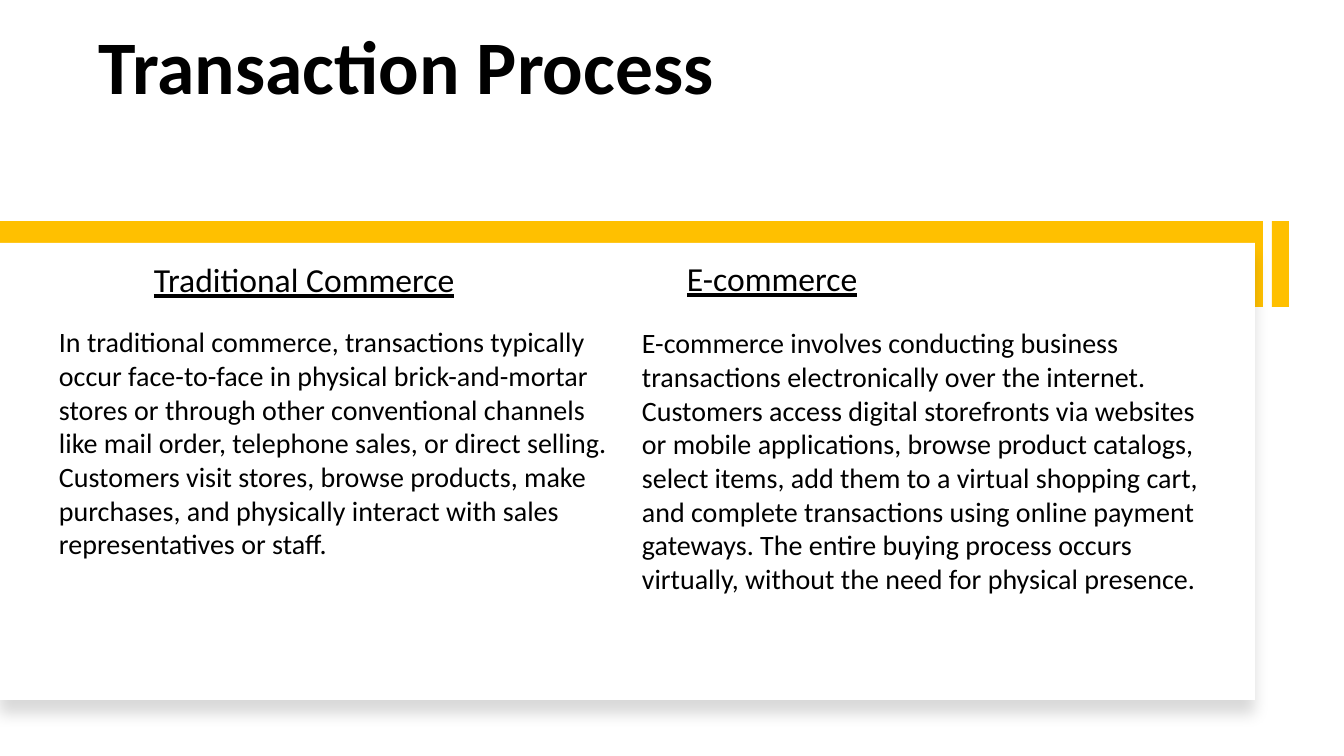
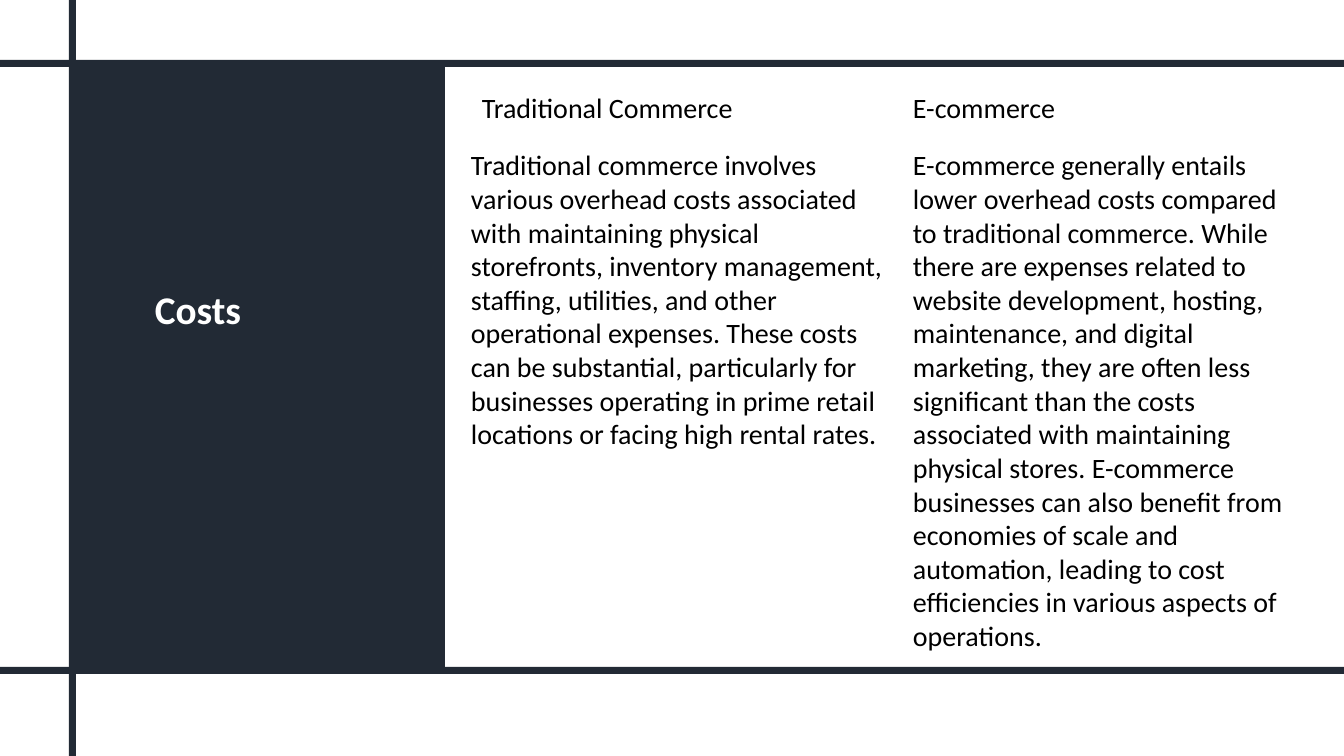
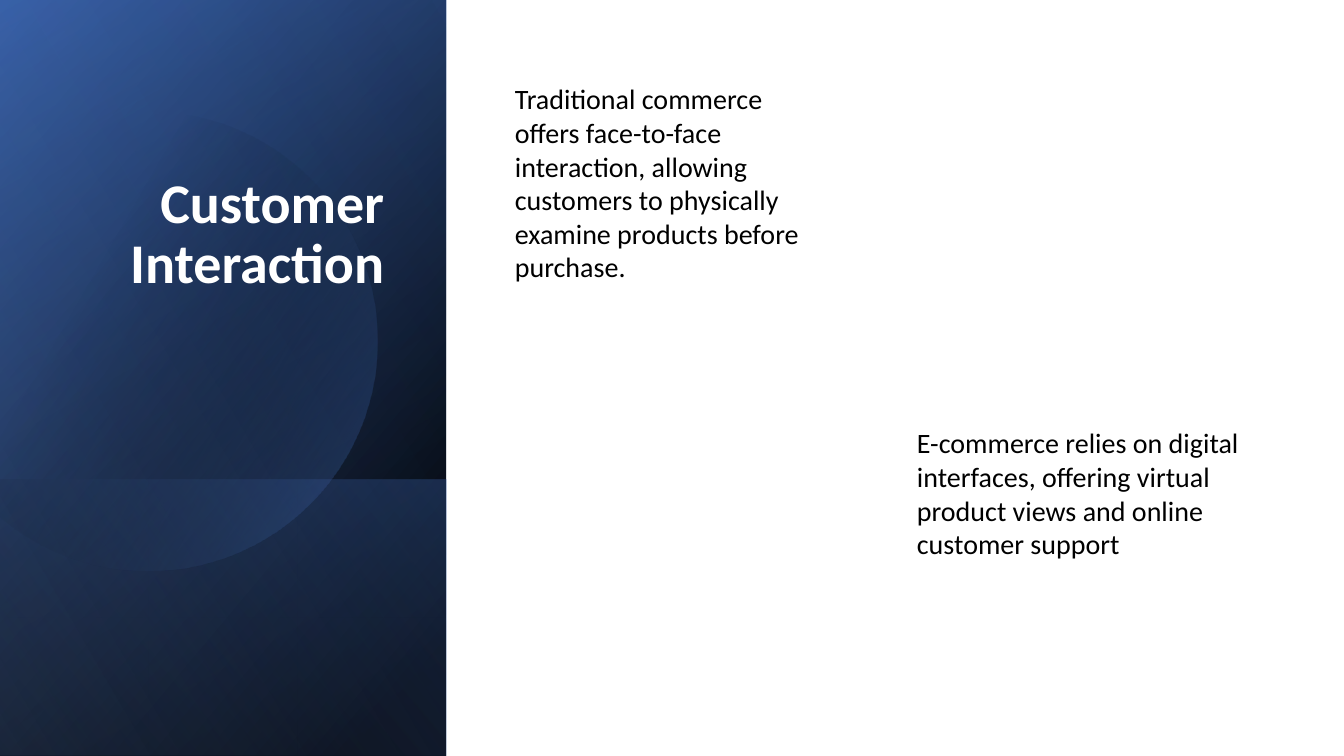
from math import acos, cos, radians, sin

from lxml import etree
from pptx import Presentation
from pptx.dml.color import RGBColor
from pptx.enum.shapes import MSO_SHAPE
from pptx.enum.text import MSO_ANCHOR, PP_ALIGN
from pptx.oxml.ns import qn
from pptx.util import Pt

PAGE_WIDTH, PAGE_HEIGHT = 1344, 756
SCALE = 12192000 / PAGE_WIDTH
RECTANGLE = MSO_SHAPE.RECTANGLE
TOP, MIDDLE, BOTTOM = MSO_ANCHOR.TOP, MSO_ANCHOR.MIDDLE, MSO_ANCHOR.BOTTOM
LEFT, RIGHT = PP_ALIGN.LEFT, PP_ALIGN.RIGHT

FONT = "Calibri"
BLACK, WHITE = "000000", "FFFFFF"
AMBER, SLATE = "FFC000", "222A35"
BLUE, DEEP_BLUE, PALE_BLUE = "4472C4", "2F5597", "8FAADC"


def px(length):
    return round(length * SCALE)


def color(code):
    return RGBColor.from_string(code)


class Deck:
    """Holds the shared style and the slide being filled."""

    def __init__(self):
        self.deck = Presentation()
        self.deck.slide_width = px(PAGE_WIDTH)
        self.deck.slide_height = px(PAGE_HEIGHT)
        self.page = None

    def new_page(self):
        self.page = self.deck.slides.add_slide(self.deck.slide_layouts[6])

    def rect(self, left, top, width, height, fill=None):
        shape = self.page.shapes.add_shape(
            RECTANGLE, px(left), px(top), px(width), px(height))
        shape.shadow.inherit = False
        shape.line.fill.background()
        if fill:
            shape.fill.solid()
            shape.fill.fore_color.rgb = color(fill)
        return shape

    def disc(self, center_x, center_y, radius):
        """Circle cut off where it crosses the left edge of the page."""
        end = acos(-center_x / radius)
        steps = 120
        angles = [end * (2 * step / steps - 1) for step in range(steps + 1)]
        points = [(px(center_x + radius * cos(angle)),
                   px(center_y + radius * sin(angle))) for angle in angles]
        builder = self.page.shapes.build_freeform(*points[0], scale=1.0)
        builder.add_line_segments(points[1:], close=True)
        shape = builder.convert_to_shape()
        shape.shadow.inherit = False
        shape.line.fill.background()
        return shape

    def gradient(self, shape, angle, *stops):
        """Each stop is (position %, colour, opacity %); angle is clockwise."""
        shape.fill.gradient()
        shape.fill.gradient_angle = 360 - angle
        for stop, (position, code, _) in zip(shape.fill.gradient_stops, stops):
            stop.position = position / 100
            stop.color.rgb = color(code)
        tones = shape._element.spPr.find(qn("a:gradFill")).iter(qn("a:srgbClr"))
        for tone, (_, _, opacity) in zip(tones, stops):
            etree.SubElement(tone, qn("a:alpha"), val=str(opacity * 1000))

    def drop_shadow(self, shape, opacity, blur, distance):
        effects = shape._element.spPr.find(qn("a:effectLst"))
        shadow = etree.SubElement(
            effects, qn("a:outerShdw"), blurRad=str(Pt(blur)),
            dist=str(Pt(distance)), dir=str(90 * 60000), algn="t", rotWithShape="0")
        tone = etree.SubElement(shadow, qn("a:srgbClr"), val=BLACK)
        etree.SubElement(tone, qn("a:alpha"), val=str(opacity * 1000))

    def text(self, left, top, width, height, words, size=20, code=BLACK,
             anchor=TOP, align=LEFT):
        box = self.page.shapes.add_textbox(px(left), px(top), px(width), px(height))
        frame = box.text_frame
        frame.word_wrap = True
        frame.vertical_anchor = anchor
        para = frame.paragraphs[0]
        para.text = words
        para.alignment = align
        para.font.name = FONT
        para.font.size = Pt(size)
        para.font.color.rgb = color(code)
        return para

    def title(self, left, top, width, height, words, size, code=WHITE,
              anchor=BOTTOM, align=LEFT):
        para = self.text(left, top, width, height, words, size, code, anchor, align)
        para.font.bold = True
        para.line_spacing = 0.9

    def underlined(self, left, top, width, height, words):
        self.text(left, top, width, height, words, 24).font.underline = True


def transaction_page(deck):
    deck.new_page()
    deck.title(89, 23, 1018, 93, "Transaction Process", 54, BLACK)
    for left, width in ((1272, 17), (0, 1263)):
        deck.rect(left, 221, width, 86, AMBER)
    card = deck.rect(0, 243, 1255, 457, WHITE)
    deck.drop_shadow(card, opacity=15, blur=11, distance=10)
    deck.underlined(144, 254, 378, 51, "Traditional Commerce")
    deck.text(49, 320, 570, 338,
              "In traditional commerce, transactions typically occur face-to-face in "
              "physical brick-and-mortar stores or through other conventional channels "
              "like mail order, telephone sales, or direct selling. Customers visit "
              "stores, browse products, make purchases, and physically interact with "
              "sales representatives or staff.")
    deck.underlined(677, 253, 430, 69, "E-commerce")
    deck.text(632, 321, 598, 361,
              "E-commerce involves conducting business transactions electronically "
              "over the internet. Customers access digital storefronts via websites or "
              "mobile applications, browse product catalogs, select items, add them to "
              "a virtual shopping cart, and complete transactions using online payment "
              "gateways. The entire buying process occurs virtually, without the need "
              "for physical presence.")


def costs_page(deck):
    deck.new_page()
    deck.rect(73, 67, 372, 600, SLATE)
    deck.title(145, 111, 224, 402, "Costs", 28, anchor=MIDDLE)
    for rule_top in (60, 667):
        deck.rect(0, rule_top, PAGE_WIDTH, 7, SLATE)
    deck.rect(69, 0, 7, PAGE_HEIGHT, SLATE)
    deck.text(472, 86, 313, 50, "Traditional Commerce")
    deck.text(461, 143, 436, 332,
              "Traditional commerce involves various overhead costs associated "
              "with maintaining physical storefronts, inventory management, staffing, "
              "utilities, and other operational expenses. These costs can be "
              "substantial, particularly for businesses operating in prime "
              "retail locations or facing high rental rates.")
    deck.text(903, 86, 316, 50, "E-commerce")
    deck.text(903, 143, 414, 472,
              "E-commerce generally entails lower overhead costs compared to "
              "traditional commerce. While there are expenses related to website "
              "development, hosting, maintenance, and digital marketing, they are "
              "often less significant than the costs associated with maintaining "
              "physical stores. E-commerce businesses can also benefit from economies "
              "of scale and automation, leading to cost efficiencies in various "
              "aspects of operations.")


def interaction_page(deck):
    deck.new_page()
    panel = (0, 0, 446, PAGE_HEIGHT)
    clear = (0, BLACK, 0)
    deck.gradient(deck.rect(*panel), 220, (8, BLACK, 100), (100, DEEP_BLUE, 100))
    deck.gradient(deck.rect(*panel), 240, clear, (99, BLUE, 46))
    deck.gradient(deck.rect(0, 480, 446, 276), 140, (2, BLUE, 29), (100, BLACK, 30))
    deck.gradient(deck.disc(148, 341, 229), 30, (29, BLACK, 0), (100, BLUE, 43))
    deck.gradient(deck.rect(*panel), 150, clear, (99, PALE_BLUE, 11))
    deck.title(50, 37, 344, 264, "Customer Interaction", 40, align=RIGHT)
    deck.text(505, 77, 314, 225,
              "Traditional commerce offers face-to-face interaction, allowing "
              "customers to physically examine products before purchase.")
    deck.text(907, 421, 380, 244,
              "E-commerce relies on digital interfaces, offering virtual product "
              "views and online customer support")


def main():
    deck = Deck()
    transaction_page(deck)
    costs_page(deck)
    interaction_page(deck)
    deck.deck.save("out.pptx")


if __name__ == "__main__":
    main()
